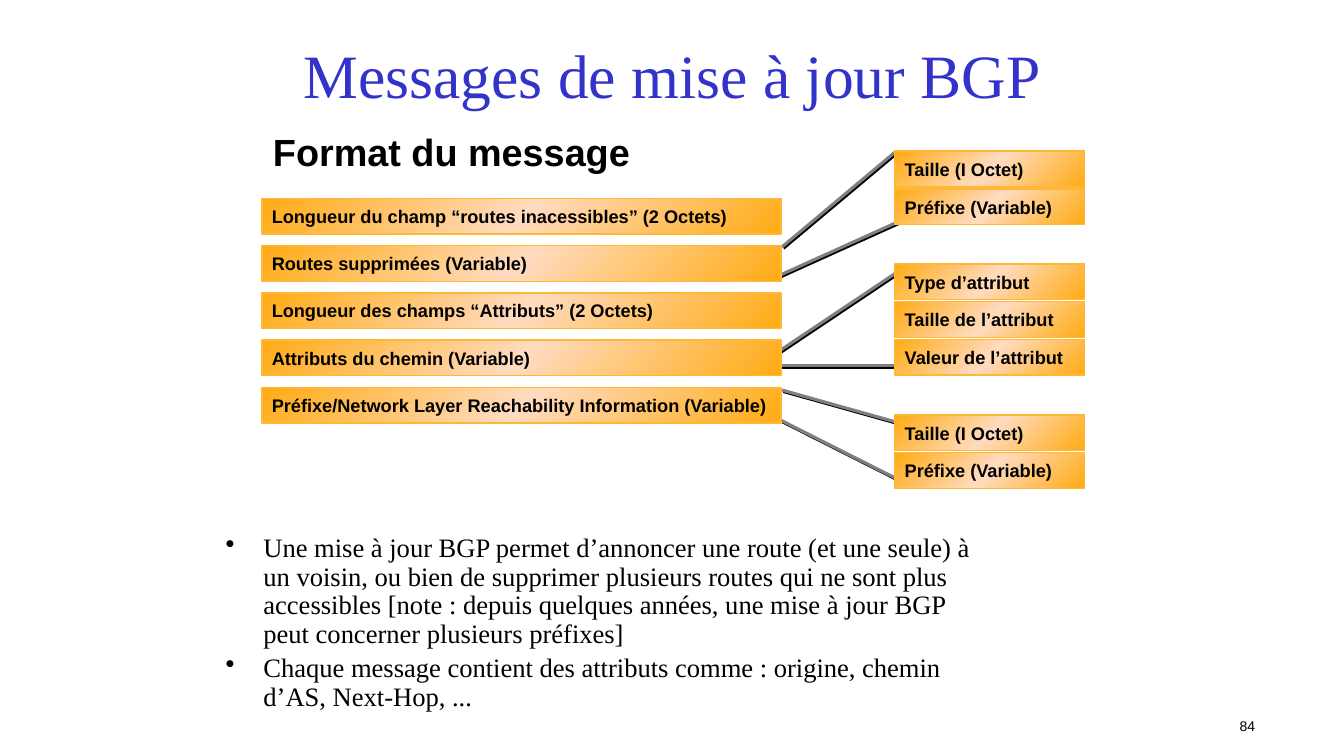
from copy import deepcopy

from lxml import etree
from pptx import Presentation
from pptx.dml.color import RGBColor
from pptx.enum.shapes import MSO_CONNECTOR, MSO_SHAPE
from pptx.enum.text import MSO_ANCHOR, PP_ALIGN
from pptx.oxml.ns import qn
from pptx.util import Cm, Pt

LINE = MSO_CONNECTOR.STRAIGHT
RECT = MSO_SHAPE.RECTANGLE
TOP, MIDDLE = MSO_ANCHOR.TOP, MSO_ANCHOR.MIDDLE
LEFT, CENTER, RIGHT = PP_ALIGN.LEFT, PP_ALIGN.CENTER, PP_ALIGN.RIGHT

BLACK = RGBColor(0x00, 0x00, 0x00)
BLUE = RGBColor(0x33, 0x33, 0xCC)
GRAY = RGBColor(0x80, 0x80, 0x80)
ORANGE = RGBColor(0xFF, 0xAB, 0x13)
CREAM = RGBColor(0xFF, 0xDB, 0xBF)
EDGE = RGBColor(0xFF, 0xB7, 0x35)
SANS, SERIF = "Arial", "Times New Roman"

# Lengths below are in centimetres.
BAR_H = 0.9
FIELDS = [
    "Longueur du champ “routes inacessibles” (2 Octets)",
    "Routes supprimées (Variable)",
    "Longueur des champs “Attributs” (2 Octets)",
    "Attributs du chemin (Variable)",
    "Préfixe/Network Layer Reachability Information (Variable)",
]
PREFIX = ["Taille (I Octet)", "Préfixe (Variable)"]
ATTRIBUTE = ["Type d’attribut", "Taille de l’attribut", "Valeur de l’attribut"]
# Left, top, width, step and labels of each stack within the diagram
STACKS = [
    (0, 1.19, 13.08, 1.19, FIELDS),
    (15.95, 0, 4.78, 0.95, PREFIX),
    (15.95, 2.84, 4.78, 0.95, ATTRIBUTE),
    (15.95, 6.65, 4.78, 0.95, PREFIX),
]
# Start and end of each link within the diagram
LINKS = [
    (13.11, 2.41, 15.95, 0.03),
    (12.93, 3.18, 16.03, 1.78),
    (12.85, 5.16, 16.08, 3.0),
    (12.88, 5.41, 16.13, 5.41),
    (13.11, 6.02, 16.0, 6.83),
    (12.88, 6.68, 16.21, 8.36),
]
NOTES = [
    "Une mise à jour BGP permet d’annoncer une route (et une seule) à un voisin, "
    "ou bien de supprimer plusieurs routes qui ne sont plus accessibles [note : "
    "depuis quelques années, une mise à jour BGP peut concerner plusieurs préfixes]",
    "Chaque message contient des attributs comme : origine, chemin d’AS, "
    "Next-Hop, ...",
]


def style(par, face, size, color=BLACK, bold=False):
    font = par.font
    font.name, font.size, font.bold = face, Pt(size), bold
    font.color.rgb = color


def setup(frame, anchor, side=0.25, edge=0.13):
    """Set the wrapping, anchor and margins of a text frame."""
    frame.word_wrap = True
    frame.vertical_anchor = anchor
    frame.margin_left = frame.margin_right = Cm(side)
    frame.margin_top = frame.margin_bottom = Cm(edge)


def label(slide, box, text, face, size, color=BLACK, bold=False,
          align=LEFT, anchor=TOP, side=0.25, edge=0.13):
    frame = slide.shapes.add_textbox(*map(Cm, box)).text_frame
    setup(frame, anchor, side, edge)
    par = frame.paragraphs[0]
    par.text, par.alignment = text, align
    style(par, face, size, color, bold)


def bar(slide, box, text):
    shape = slide.shapes.add_shape(RECT, *map(Cm, box))
    shape.shadow.inherit = False
    shape.line.color.rgb, shape.line.width = EDGE, Pt(1)
    fill = shape.fill
    fill.gradient()
    fill.gradient_angle = 315
    stops = next(shape.element.spPr.iter(qn("a:gsLst")))
    stops.append(deepcopy(stops[0]))
    for i, color in enumerate([ORANGE, CREAM, ORANGE]):
        stop = fill.gradient_stops[i]
        stop.position, stop.color.rgb = i / 2, color
    frame = shape.text_frame
    setup(frame, MIDDLE)
    frame.margin_right = 0
    par = frame.paragraphs[0]
    par.text, par.alignment = text, LEFT
    style(par, SANS, 13, bold=True)


def link(slide, ends):
    """Draw a gray line with a hard black shadow."""
    line = slide.shapes.add_connector(LINE, *map(Cm, ends))
    line.line.color.rgb, line.line.width = GRAY, Pt(2.25)
    effects = etree.SubElement(line.element.spPr, qn("a:effectLst"))
    shade = etree.SubElement(effects, qn("a:outerShdw"), blurRad="0",
                             dist=str(Pt(1.4)), dir="2700000")
    etree.SubElement(shade, qn("a:srgbClr"), val=str(BLACK))


def diagram(slide, x, y):
    for x1, y1, x2, y2 in LINKS:
        link(slide, (x + x1, y + y1, x + x2, y + y2))
    for left, top, width, step, names in STACKS:
        for i, name in enumerate(names):
            bar(slide, (x + left, y + top + i * step, width, BAR_H), name)


def notes(slide, box):
    frame = slide.shapes.add_textbox(*map(Cm, box)).text_frame
    setup(frame, TOP)
    for i, text in enumerate(NOTES):
        par = frame.add_paragraph() if i else frame.paragraphs[0]
        par.text = text
        par.line_spacing = 0.9
        par.space_before = Pt(3.8 if i else 0)
        props = par._p.get_or_add_pPr()
        props.set("marL", str(Cm(0.95)))
        props.set("indent", str(-Cm(0.95)))
        etree.SubElement(props, qn("a:buChar"), char="•")
        style(par, SERIF, 19)


def main():
    deck = Presentation()
    deck.slide_width, deck.slide_height = Cm(33.87), Cm(19.05)
    slide = deck.slides.add_slide(deck.slide_layouts[6])
    label(slide, (26.52, 17.96, 5.36, 0.69), "84", SANS, 10, align=RIGHT)
    diagram(slide, 6.6, 3.81)
    label(slide, (6.6, 3.1, 13.34, 1.45), "Format du message", SANS, 27,
          bold=True, side=0.28, edge=0.15)
    notes(slide, (5.44, 13.34, 19.71, 4.22))
    label(slide, (6.15, 0.64, 21.59, 2.46), "Messages de mise à jour BGP",
          SERIF, 44, BLUE, align=CENTER, anchor=MIDDLE)
    deck.save("out.pptx")


if __name__ == "__main__":
    main()
